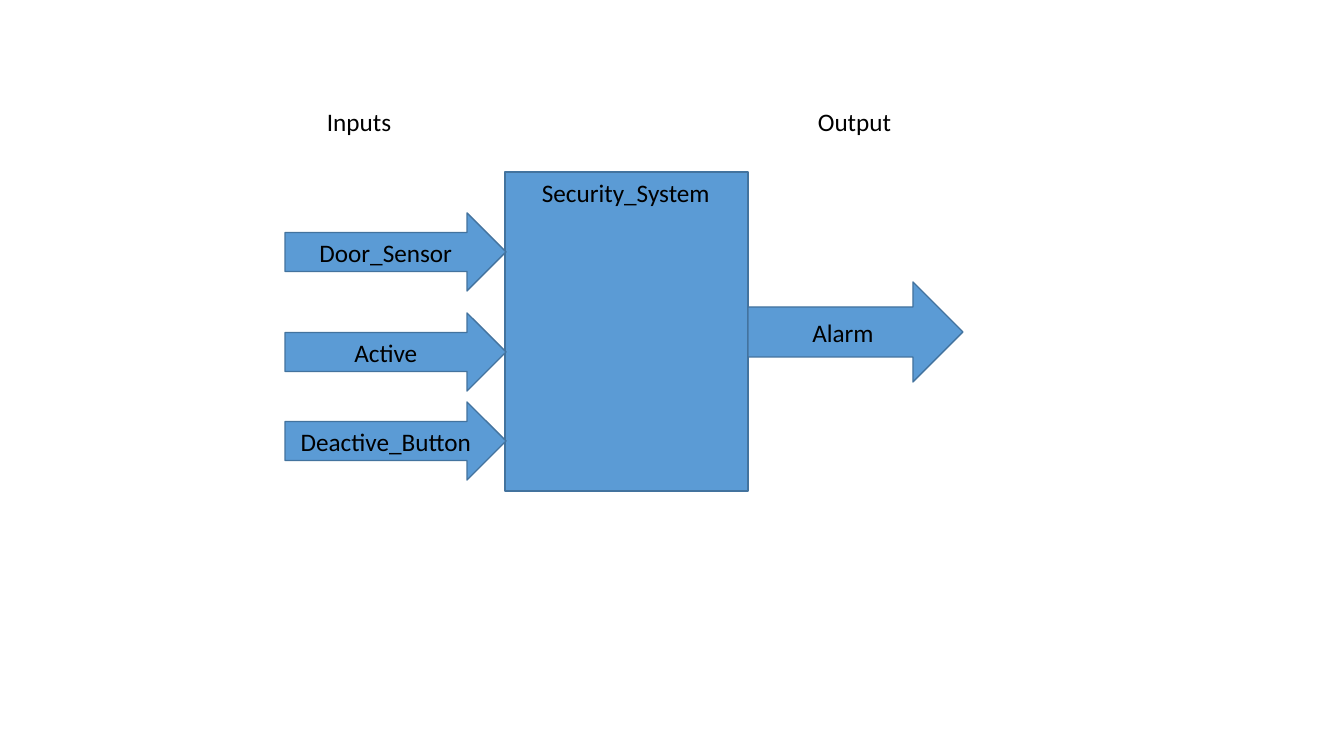
from pptx import Presentation
from pptx.dml.color import RGBColor
from pptx.enum.shapes import MSO_SHAPE
from pptx.enum.text import MSO_ANCHOR, PP_ALIGN
from pptx.util import Pt

PX = 9071.43  # EMU per pixel, 100.8 pixels to the inch
BLUE = RGBColor(0x5B, 0x9B, 0xD5)
EDGE = RGBColor(0x43, 0x73, 0x9E)
BLACK = RGBColor(0, 0, 0)
PROCESS = MSO_SHAPE.FLOWCHART_PROCESS
ARROW = MSO_SHAPE.RIGHT_ARROW
LEFT, CENTER = PP_ALIGN.LEFT, PP_ALIGN.CENTER
TOP, MIDDLE = MSO_ANCHOR.TOP, MSO_ANCHOR.MIDDLE
BLANK_LAYOUT = 6


def emu(*pixels):
    return [round(v * PX) for v in pixels]


def write(sp, text, size=18, font="Calibri", color=BLACK, align=LEFT,
          anchor=TOP, wrap=False):
    tf = sp.text_frame
    tf.word_wrap = wrap
    tf.vertical_anchor = anchor
    p = tf.paragraphs[0]
    p.alignment = align
    r = p.add_run()
    r.text = text
    r.font.size = Pt(size)
    r.font.name = font
    r.font.color.rgb = color


def add_label(shapes, text, x, y, w, h=40):
    write(shapes.add_textbox(*emu(x, y, w, h)), text)


def add_block(shapes, kind, x, y, w, h, text=None):
    sp = shapes.add_shape(kind, *emu(x, y, w, h))
    sp.shadow.inherit = False
    sp.fill.solid()
    sp.fill.fore_color.rgb = BLUE
    sp.line.color.rgb = EDGE
    sp.line.width = Pt(1)
    if text:
        write(sp, text, align=CENTER, anchor=MIDDLE, wrap=True)


def add_system(shapes, x, y, w, h):
    # System block with its name at the top
    add_block(shapes, PROCESS, x, y, w, h)
    add_label(shapes, "Security_System", x + 27, y, 190)

    # Input arrows, ending at the left edge
    arrow_w, arrow_h = 221, 78
    inputs = [("Deactive_Button", 230), ("Active", 141), ("Door_Sensor", 41)]
    for name, dy in inputs:
        add_block(shapes, ARROW, x - arrow_w + 1, y + dy, arrow_w, arrow_h, name)

    # Output arrow, centred on the right edge
    out_h = 100
    add_block(shapes, ARROW, x + w, y + (h - out_h) // 2 + 1, 215, out_h, "Alarm")

    # Column headings
    heading_y = y - 71
    add_label(shapes, "Inputs", x - 188, heading_y, 86)
    add_label(shapes, "Output", x + w + 60, heading_y, 95)


prs = Presentation()
prs.slide_width, prs.slide_height = emu(1344, 756)
s = prs.slides.add_slide(prs.slide_layouts[BLANK_LAYOUT])
diagram = s.shapes.add_group_shape()
add_system(diagram.shapes, 505, 172, 243, 319)
prs.save("out.pptx")
